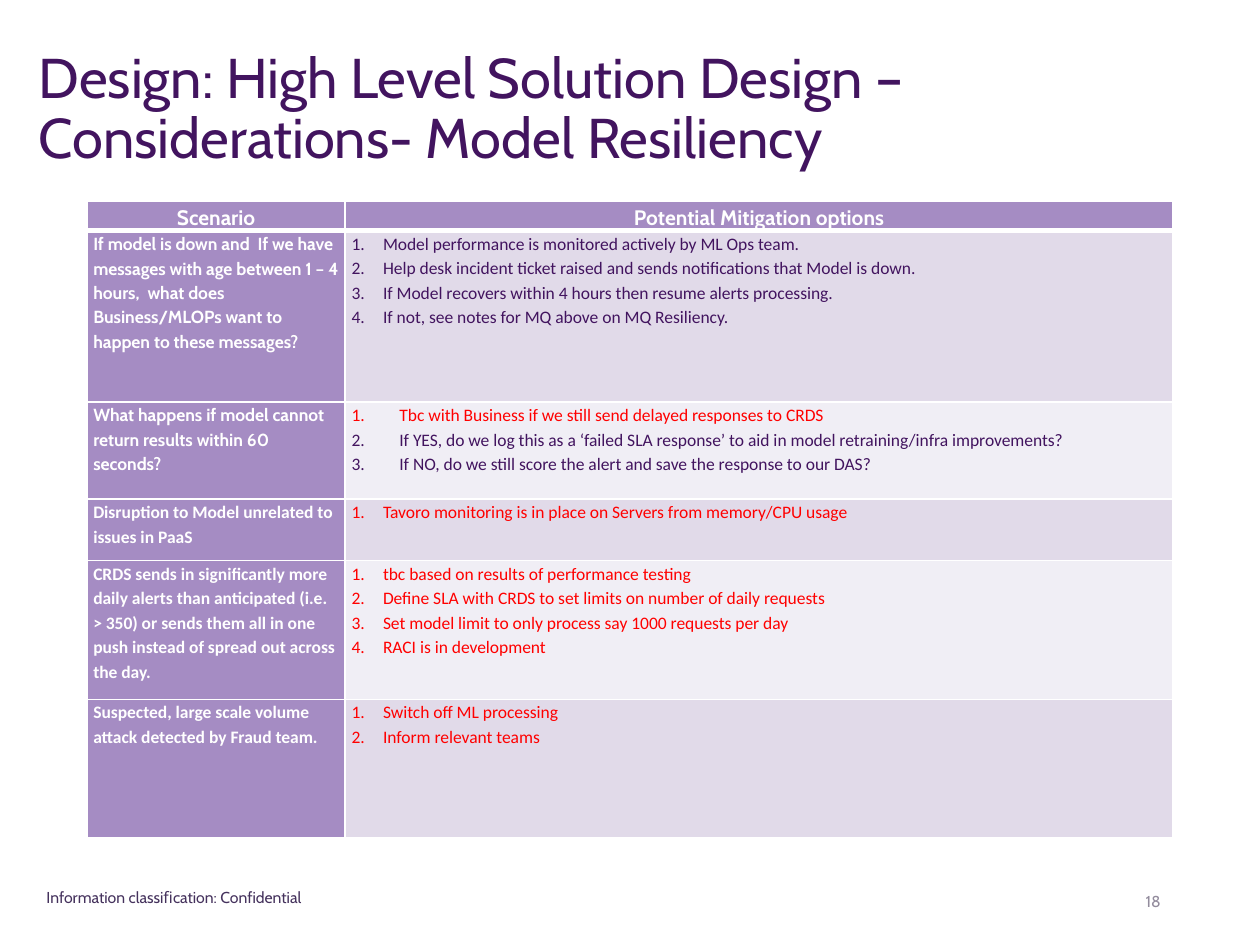
from lxml import etree
from pptx import Presentation
from pptx import util as u
from pptx.dml.color import RGBColor
from pptx.enum import text
from pptx.oxml.ns import qn

WHITE, PLUM, RED, GRAPE = "FFFFFF", "42145F", "FF0000", "A58CC3"
LILAC, MIST = "E1DAE9", "F0EEF5"
LEFT, MID, RIGHT = text.PP_ALIGN.LEFT, text.PP_ALIGN.CENTER, text.PP_ALIGN.RIGHT

deck = Presentation()
deck.slide_width, deck.slide_height = u.Inches(10), u.Inches(7.5)
W, H = deck.slide_width, deck.slide_height
page = deck.slides.add_slide(deck.slide_layouts[6])


def write(frame, words, size=10, font="Calibri", color=PLUM, bold=False,
          align=LEFT, space=1.15, indent=0):
    """Add a paragraph to a frame; an indent makes it a numbered item."""
    para = frame.paragraphs[0] if not frame.text else frame.add_paragraph()
    para.alignment, para.line_spacing = align, space
    run = para.add_run()
    run.text = words
    run.font.size, run.font.name, run.font.bold = u.Pt(size), font, bold
    run.font.color.rgb = RGBColor.from_string(color)
    if indent:
        props = para._p.get_or_add_pPr()
        props.set("marL", str(u.Inches(indent)))
        props.set("indent", str(-u.Inches(indent)))
        etree.SubElement(props, qn("a:buAutoNum"), type="arabicPeriod")


def paint(cell, fill, top=1, base=1):
    """Fill a cell, set its margins and draw its white borders."""
    cell.margin_left = cell.margin_right = u.Inches(0.05)
    cell.margin_top = cell.margin_bottom = 0
    cell.fill.solid()
    cell.fill.fore_color.rgb = RGBColor.from_string(fill)
    props = cell._tc.get_or_add_tcPr()
    for spot, (side, width) in enumerate(zip("LRTB", (1, 1, top, base))):
        line = etree.Element(qn("a:ln" + side), w=str(u.Pt(width)))
        solid = etree.SubElement(line, qn("a:solidFill"))
        etree.SubElement(solid, qn("a:srgbClr"), val=WHITE)
        props.insert(spot, line)


# Title, footer and page number: place as shares of the slide
TOP, CENTRE = text.MSO_ANCHOR.TOP, text.MSO_ANCHOR.MIDDLE
labels = [
    ("Design: High Level Solution Design – Considerations- Model Resiliency",
     (0.021, 0.02, 0.862, 0.193), CENTRE, True,
     dict(size=32, color=PLUM, space=0.9)),
    ("Information classiﬁcation: Confidential",
     (0.027, 0.933, 0.234, 0.033), TOP, False,
     dict(size=9, color="45325D", space=1.0)),
    ("18", (0.706, 0.927, 0.225, 0.053), CENTRE, True,
     dict(size=9, color="938C9D", space=1.0, align=RIGHT)),
]
for words, (x, y, w, h), anchor, wrap, style in labels:
    box = page.shapes.add_textbox(int(x * W), int(y * H), int(w * W), int(h * H))
    frame = box.text_frame
    frame.word_wrap, frame.vertical_anchor = wrap, anchor
    write(frame, words, font="Cabin", **style)

# Table rows: scenario, its font, item indent, items with colours
rows = [
    ("If model is down and  If we have messages with age between 1 – 4 hours,"
     "  what does Business/MLOPs want to happen to these messages?", "Cabin", 0.25, [
         ("Model performance is monitored actively by ML Ops team.", PLUM),
         ("Help desk incident ticket raised and sends notifications that Model is down.", PLUM),
         ("If Model recovers within 4 hours then resume alerts processing.", PLUM),
         ("If not, see notes for MQ above on MQ Resiliency.", PLUM)]),
    ("What happens if model cannot return results within 60 seconds?", "Cabin", 0.38, [
        ("Tbc with Business if we still send delayed responses to CRDS", RED),
        ("If YES, do we log this as a ‘failed SLA response’ to aid in model "
         "retraining/infra improvements?", PLUM),
        ("If NO, do we still score the alert and save the response to our DAS?", PLUM)]),
    ("Disruption to Model unrelated to issues in PaaS", "Calibri", 0.25, [
        ("Tavoro monitoring is in place on Servers from memory/CPU usage", RED)]),
    ("CRDS sends in significantly more daily alerts than anticipated (i.e. > 350) "
     "or sends them all in one push instead of spread out across the day.", "Calibri", 0.25, [
         ("tbc based on results of performance testing", RED),
         ("Define SLA with CRDS to set limits on number of daily requests", RED),
         ("Set model limit to only process say 1000 requests per day", RED),
         ("RACI is in development", RED)]),
    ("Suspected, large scale volume attack detected by Fraud team.", "Calibri", 0.25, [
        ("Switch off ML processing", RED),
        ("Inform relevant teams", RED)]),
]
wide, tall = (2.05, 6.57), (0.23, 1.36, 0.77, 0.49, 1.1, 1.1)
grid = page.shapes.add_table(len(tall), len(wide), u.Inches(0.69), u.Inches(1.6),
                             u.Inches(sum(wide)), u.Inches(sum(tall))).table
for col, size in zip(grid.columns, wide):
    col.width = u.Inches(size)
for row, size in zip(grid.rows, tall):
    row.height = u.Inches(size)

# Header row
for c, words in enumerate(("Scenario", "Potential Mitigation options")):
    cell = grid.cell(0, c)
    paint(cell, GRAPE, base=3)
    write(cell.text_frame, words, size=12, font="Cabin", color=WHITE,
          bold=True, align=MID)

# Body rows, in alternating tints
for r, (words, font, indent, items) in enumerate(rows, 1):
    first, last = grid.cell(r, 0), grid.cell(r, 1)
    top = 3 if r == 1 else 1
    paint(first, GRAPE, top=top)
    paint(last, LILAC if r % 2 else MIST, top=top)
    write(first.text_frame, words, font=font, color=WHITE, bold=True)
    for item, color in items:
        write(last.text_frame, item, color=color, indent=indent)

deck.save("out.pptx")
